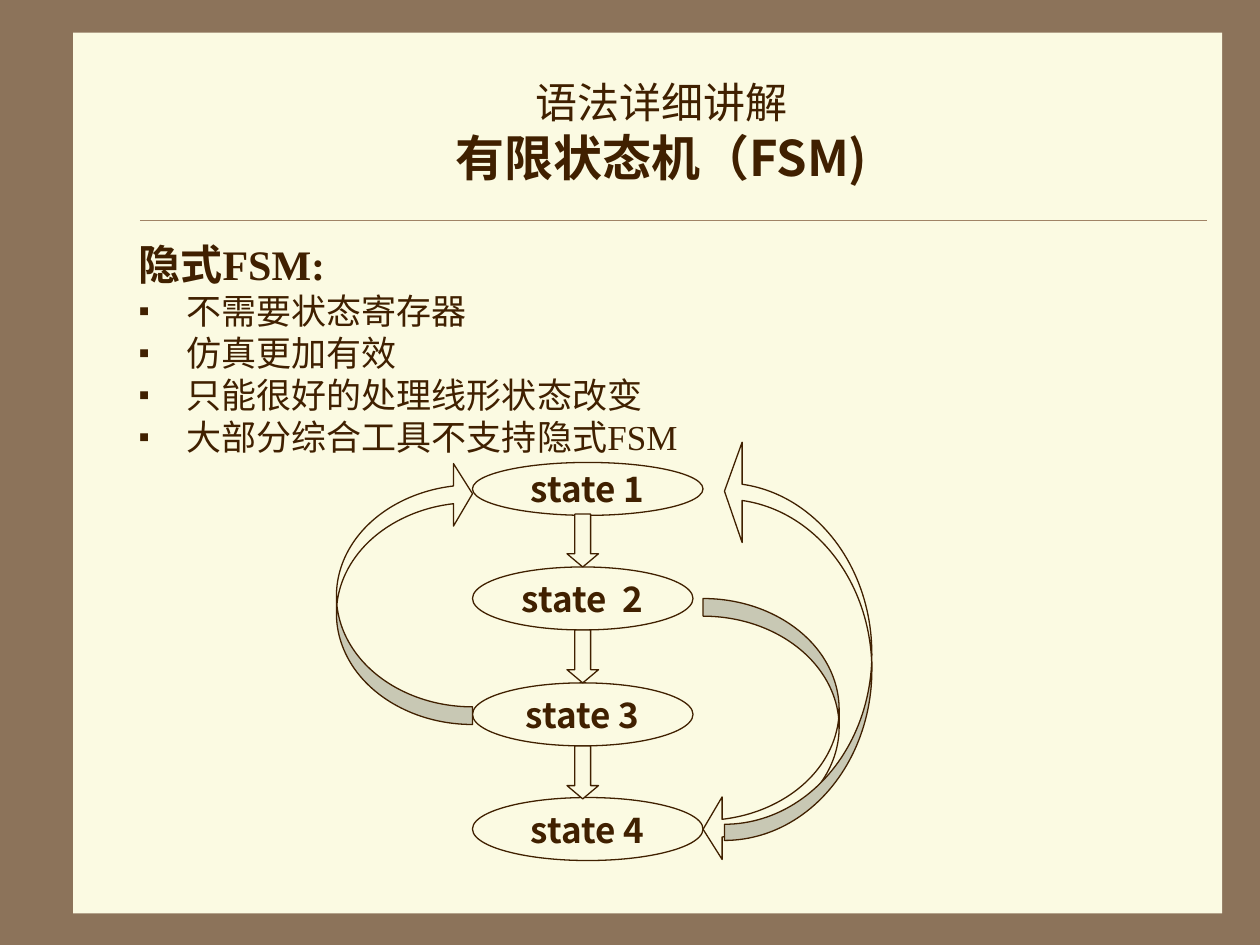
from copy import deepcopy

from lxml import etree
from pptx import Presentation, util as u
from pptx.dml import color
from pptx.enum import shapes, text
from pptx.oxml import ns

theme = {
    "frame": color.RGBColor.from_string("8C735A"),
    "paper": color.RGBColor.from_string("FBFAE2"),
    "ink": color.RGBColor.from_string("402000"),
    "rule": color.RGBColor.from_string("A08366"),
    "sans": "Noto Sans CJK SC",
    "serif": "Times New Roman",
    "title": u.Pt(28),
    "heading": u.Pt(24),
    "item": u.Pt(20),
    "outline": u.Pt(0.75),
    "hairline": u.Pt(0.25),
}


def add_run(p, words, size, bold, latin):
    r = p.add_run()
    r.text = words
    r.font.color.rgb = theme["ink"]
    for name, value in {"size": size, "bold": bold, "name": latin}.items():
        setattr(r.font, name, value)
    ea = etree.SubElement(r._r.get_or_add_rPr(), ns.qn("a:ea"))
    ea.set("typeface", theme["sans"])
    return r


def add_figure(kind, left, top, width, height, adjustments=(), rotation=0):
    sp = s.shapes.add_shape(
        kind, u.Inches(left), u.Inches(top), u.Inches(width), u.Inches(height))
    sp.shadow.inherit = False
    sp.fill.solid()
    sp.fill.fore_color.rgb = theme["paper"]
    sp.line.color.rgb = theme["ink"]
    sp.line.width = theme["outline"]
    sp.rotation = rotation
    for i, value in enumerate(adjustments):
        sp.adjustments[i] = value
    return sp


prs = Presentation()
prs.slide_width, prs.slide_height = u.Inches(10), u.Inches(7.5)
s = prs.slides.add_slide(prs.slide_layouts[1])
s.background.fill.solid()
s.background.fill.fore_color.rgb = theme["frame"]

panel = add_figure(shapes.MSO_SHAPE.RECTANGLE, 0.58, 0.26, 9.12, 6.99)
panel.line.fill.background()
rule = s.shapes.add_connector(
    shapes.MSO_CONNECTOR.STRAIGHT,
    u.Inches(1.11), u.Inches(1.75), u.Inches(9.58), u.Inches(1.75))
rule.line.color.rgb = theme["rule"]
rule.line.width = theme["hairline"]
etree.SubElement(rule._element.spPr, ns.qn("a:effectLst"))
for i, sp in enumerate((panel, rule)):
    s.shapes._spTree.insert(2 + i, sp._element)

title, body = s.shapes.title, s.placeholders[1]
for sp, box, anchor in (
    (title, (1, 0.42, 8.5, 1.17), text.MSO_ANCHOR.MIDDLE),
    (body, (1, 1.83, 8.25, 5), text.MSO_ANCHOR.TOP),
):
    for name, value in zip(("left", "top", "width", "height"), box):
        setattr(sp, name, u.Inches(value))
    sp.fill.solid()
    sp.fill.fore_color.rgb = theme["paper"]
    sp.text_frame.auto_size = text.MSO_AUTO_SIZE.NONE
    sp.text_frame.vertical_anchor = anchor

p = title.text_frame.paragraphs[0]
p.alignment = text.PP_ALIGN.CENTER
p.line_spacing = u.Pt(34)
r = add_run(p, "语法详细讲解", theme["heading"], False, theme["sans"])
p.add_line_break()
p._p[-1].append(deepcopy(r._r.rPr))
add_run(p, "有限状态机（FSM)", theme["title"], True, theme["sans"])

lines = ["隐式FSM:", "不需要状态寄存器", "仿真更加有效",
         "只能很好的处理线形状态改变", "大部分综合工具不支持隐式FSM"]
tf = body.text_frame
for i, words in enumerate(lines):
    p = tf.add_paragraph() if i else tf.paragraphs[0]
    pPr = p._p.get_or_add_pPr()
    pPr.set("marL", str(u.Inches(0.38)))
    pPr.set("indent", str(u.Inches(-0.38)))
    if i:
        bu_color = etree.SubElement(pPr, ns.qn("a:buClr"))
        etree.SubElement(bu_color, ns.qn("a:srgbClr")).set("val", str(theme["ink"]))
        etree.SubElement(pPr, ns.qn("a:buSzPct")).set("val", "90000")
        etree.SubElement(pPr, ns.qn("a:buChar")).set("char", "▪")
    else:
        etree.SubElement(pPr, ns.qn("a:buNone"))
    for name, value in {
        "alignment": text.PP_ALIGN.JUSTIFY,
        "space_before": u.Pt(0),
        "line_spacing": u.Pt(24 if i else 30),
    }.items():
        setattr(p, name, value)
    add_run(p, words, theme["item" if i else "heading"], not i, theme["serif"])

for words, top, width, height in (
    ("state 1", 3.67, 1.83, 0.42),
    ("state  2", 4.5, 1.75, 0.5),
    ("state 3", 5.42, 1.75, 0.5),
    ("state 4", 6.33, 1.83, 0.5),
):
    sp = add_figure(shapes.MSO_SHAPE.OVAL, 3.75, top, width, height)
    tf = sp.text_frame
    tf.word_wrap = False
    tf.vertical_anchor = text.MSO_ANCHOR.MIDDLE
    p = tf.paragraphs[0]
    p.alignment = text.PP_ALIGN.CENTER
    add_run(p, words, theme["item"], True, theme["sans"])

for kind, box, adjustments, rotation in (
    (shapes.MSO_SHAPE.CURVED_LEFT_ARROW, (5.58, 4.75, 1.08, 2.08), (0.13, 0.46, 0.14), 0),
    (shapes.MSO_SHAPE.CURVED_LEFT_ARROW, (2.67, 3.67, 1.08, 2.08), (0.13, 0.46, 0.14), 180),
    (shapes.MSO_SHAPE.CURVED_UP_ARROW, (4.75, 4.5, 3.17, 1.17), (0.11, 0.68, 0.12), 270),
):
    add_figure(kind, *box, adjustments, rotation)

for i in range(3):
    add_figure(shapes.MSO_SHAPE.DOWN_ARROW, 4.5, 4.08 + 0.92 * i, 0.25, 0.42, (0.5, 0.42))

prs.save("out.pptx")
